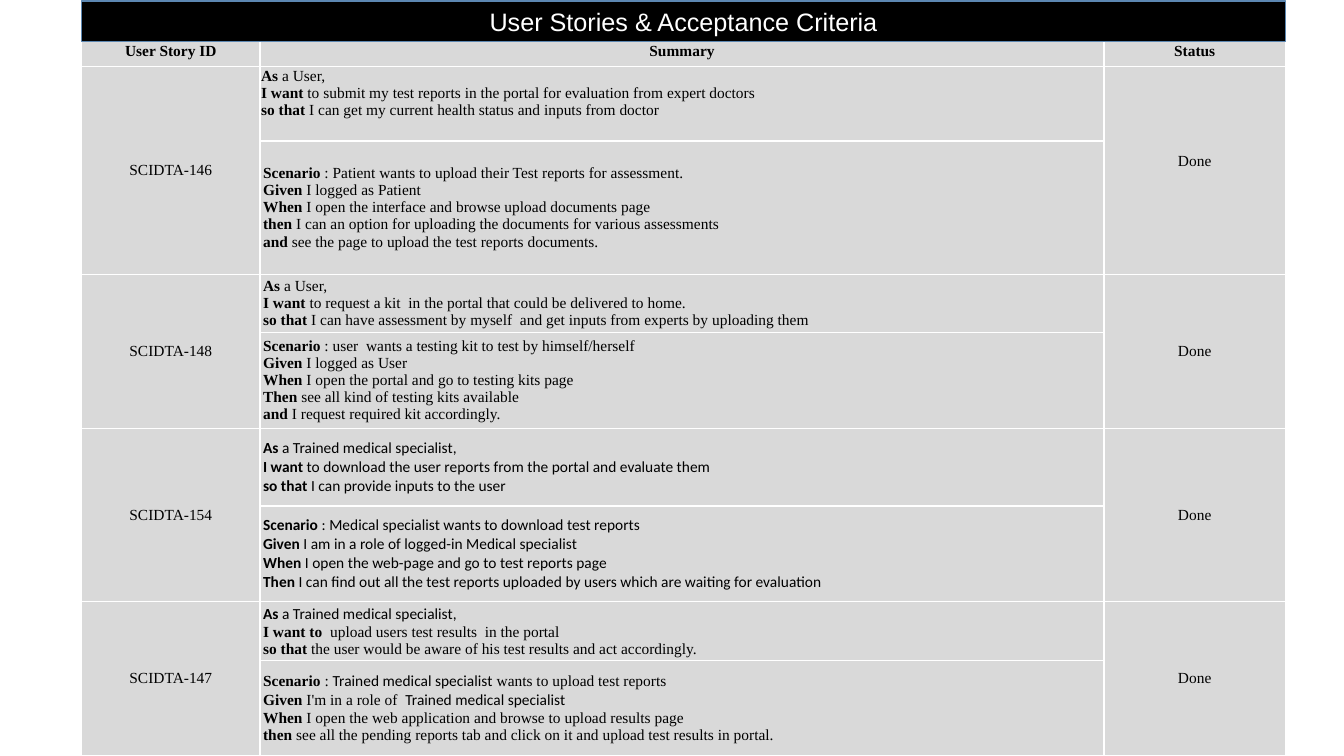
from lxml import etree
from pptx import Presentation
from pptx import util as u
from pptx.dml.color import RGBColor
from pptx.enum import shapes, text
from pptx.oxml import ns

HUES = {"black": "000000", "white": "FFFFFF", "grey": "D9D9D9", "blue": "5C87B1"}
SERIF, SANS = "Times New Roman", "Calibri"
LEFT, WIDTH = 0.81, 11.94
COLS = [1.77, 8.37, 1.8]
ROWS = [0.31, 0.74, 1.32, 0.58, 0.95, 0.77, 0.95, 0.58, 0.95]
HEADS = ["User Story ID", "Summary", "Status"]

# Asterisks switch bold and underscores switch to Calibri.
TALES = [
    ("SCIDTA-146", SERIF,
     ["*As* a User,",
      "*I want *to submit my test reports in the portal for evaluation from expert doctors",
      "*so that *I can get my current health status and inputs from doctor"],
     ["*Scenario* : Patient wants to upload their Test reports for assessment.",
      "*Given* I logged as Patient",
      "*When* I open the interface and browse upload documents page",
      "*then* I can an option for uploading the documents for various assessments",
      "*and* see the page to upload the test reports documents."]),
    ("SCIDTA-148", SERIF,
     ["*As *a User,",
      "*I want *to request a kit  in the portal that could be delivered to home.",
      "*so that *I can have assessment by myself  and get inputs from experts by uploading them"],
     ["*Scenario* : user  wants a testing kit to test by himself/herself",
      "*Given* I logged as User",
      "*When* I open the portal and go to testing kits page",
      "*Then *see all kind of testing kits available",
      "*and* I request required kit accordingly."]),
    ("SCIDTA-154", SANS,
     ["*As *a Trained medical specialist,",
      "*I want *to download the user reports from the portal and evaluate them",
      "*so that *I can provide inputs to the user"],
     ["*Scenario *: Medical specialist wants to download test reports",
      "*Given* I am in a role of logged-in Medical specialist",
      "*When* I open the web-page and go to test reports page",
      "*Then *I can find out all the test reports uploaded by users which are waiting for evaluation"]),
    ("SCIDTA-147", SERIF,
     ["_*As *a Trained medical specialist,_",
      "*I want to  *upload users test results  in the portal",
      "*so that *the user would be aware of his test results and act accordingly."],
     ["*Scenario *: _Trained medical specialist_ wants to upload test reports",
      "*Given* I'm in a role of  _Trained medical specialist_",
      "*When* I open the web application and browse to upload results page",
      "*then *see all the pending reports tab and click on it and upload test results in portal."]),
]


def tint(name):
    return RGBColor.from_string(HUES[name])


def write(frame, lines, face=SERIF, size=11, hue="black", mid=False):
    for n, line in enumerate(lines):
        para = frame.add_paragraph() if n else frame.paragraphs[0]
        para.alignment = text.PP_ALIGN.CENTER if mid else text.PP_ALIGN.LEFT
        sans = False
        for i, part in enumerate(line.split("*")):
            for j, piece in enumerate(part.split("_")):
                sans = sans != (j > 0)
                if piece:
                    run = para.add_run()
                    run.text = piece
                    run.font.name = SANS if sans else face
                    run.font.size = u.Pt(size)
                    run.font.bold = i % 2 == 1
                    run.font.color.rgb = tint(hue)


def style(cell):
    props = cell._tc.get_or_add_tcPr()
    for side in ("lnL", "lnR", "lnT", "lnB"):
        edge = etree.SubElement(props, ns.qn("a:" + side), w=str(u.Pt(1)))
        fill = etree.SubElement(edge, ns.qn("a:solidFill"))
        etree.SubElement(fill, ns.qn("a:srgbClr"), val=HUES["white"])
    cell.fill.solid()
    cell.fill.fore_color.rgb = tint("grey")
    cell.vertical_anchor = text.MSO_ANCHOR.MIDDLE
    cell.margin_left = cell.margin_right = u.Inches(0.03)
    cell.margin_top = cell.margin_bottom = u.Inches(0.02)


def add_grid(slide):
    grid = slide.shapes.add_table(
        len(ROWS), len(COLS), u.Inches(LEFT), u.Inches(0.35),
        u.Inches(WIDTH), u.Inches(sum(ROWS))).table
    grid.first_row = grid.horz_banding = False
    for col, width in zip(grid.columns, COLS):
        col.width = u.Inches(width)
    for row, height in zip(grid.rows, ROWS):
        row.height = u.Inches(height)
    for cell in grid.iter_cells():
        style(cell)
    for c, head in enumerate(HEADS):
        write(grid.cell(0, c).text_frame, [f"*{head}*"], mid=True)
    for n, (code, face, story, test) in enumerate(TALES):
        top = 1 + 2 * n
        for c, label in ((0, code), (2, "Done")):
            grid.cell(top, c).merge(grid.cell(top + 1, c))
            write(grid.cell(top, c).text_frame, [label], mid=True)
        for r, lines in enumerate((story, test)):
            write(grid.cell(top + r, 1).text_frame, lines, face=face)
    first = grid.cell(1, 1)
    first.vertical_anchor = text.MSO_ANCHOR.TOP
    first.margin_left = first.margin_right = first.margin_top = u.Inches(0.01)
    first.margin_bottom = 0
    grid.cell(1, 2).margin_bottom = u.Inches(0.19)


def add_title(slide):
    bar = slide.shapes.add_shape(
        shapes.MSO_SHAPE.RECTANGLE, u.Inches(LEFT), u.Inches(0.01),
        u.Inches(WIDTH), u.Inches(0.4))
    bar.shadow.inherit = False
    bar.fill.solid()
    bar.fill.fore_color.rgb = tint("black")
    bar.line.color.rgb = tint("blue")
    bar.line.width = u.Pt(1)
    bar.text_frame.vertical_anchor = text.MSO_ANCHOR.MIDDLE
    write(bar.text_frame, ["User Stories & Acceptance Criteria"],
          face="Arial", size=18, hue="white", mid=True)


def main():
    deck = Presentation()
    deck.slide_width, deck.slide_height = u.Inches(13.33), u.Inches(7.5)
    slide = deck.slides.add_slide(deck.slide_layouts[6])
    add_grid(slide)
    add_title(slide)
    deck.save("out.pptx")


if __name__ == "__main__":
    main()
